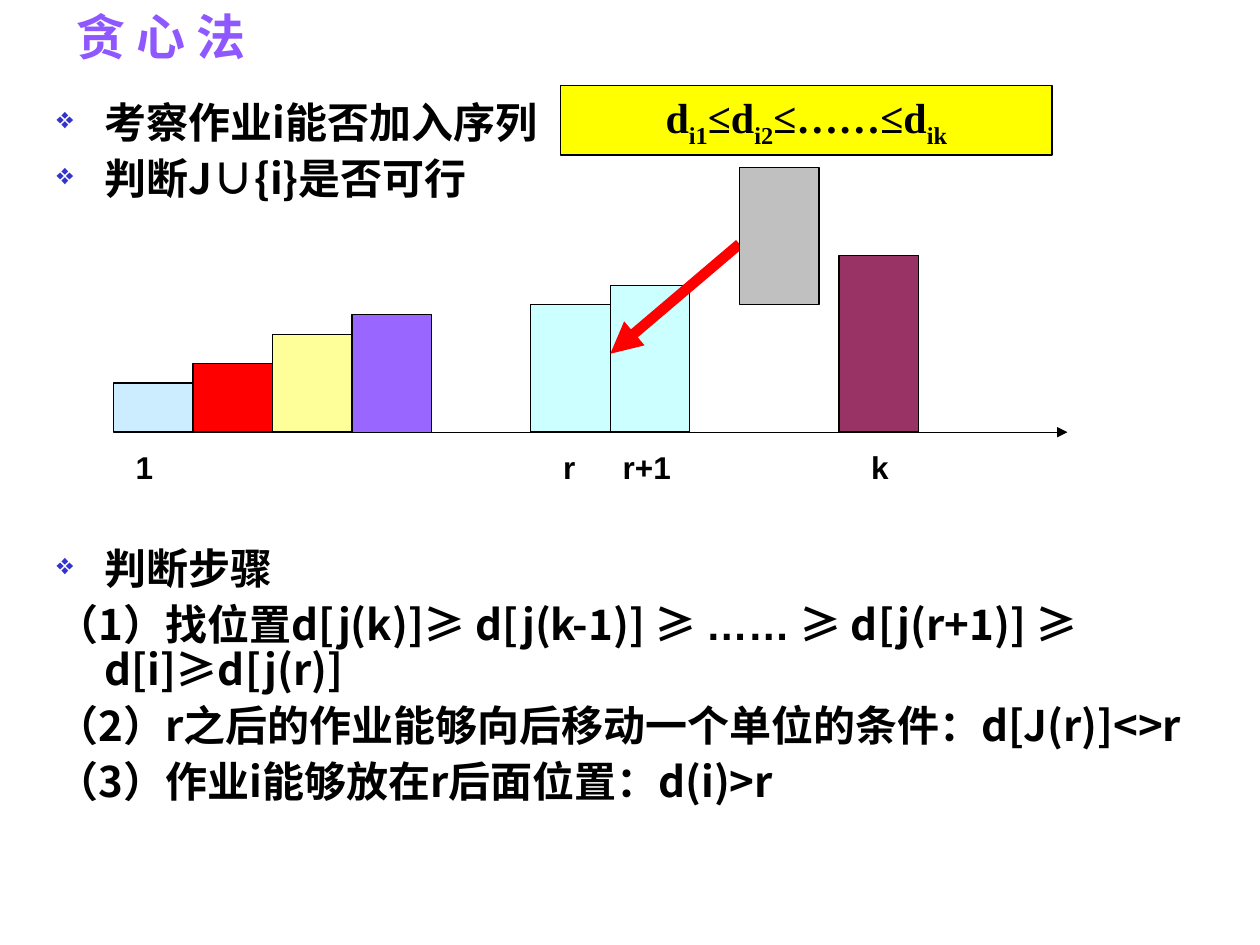
from dataclasses import dataclass

from lxml import etree
from pptx import Presentation
from pptx.dml.color import RGBColor
from pptx.enum.shapes import MSO_CONNECTOR, MSO_SHAPE
from pptx.enum.text import MSO_ANCHOR, PP_ALIGN
from pptx.oxml.ns import qn
from pptx.util import Inches, Pt

RECTANGLE = MSO_SHAPE.RECTANGLE
STRAIGHT = MSO_CONNECTOR.STRAIGHT
MIDDLE = MSO_ANCHOR.MIDDLE
CENTER = PP_ALIGN.CENTER

HAN_FONT = "Noto Sans CJK SC"
BLACK = "000000"

# Chart grid: columns run right from the first bar, rows run up from the axis.
COLUMN = 6.31 / 80
ROW = 1.4 / 18
CHART_LEFT = 0.9
AXIS_TOP = 3.43
BAR_COLUMNS = 8
INDENT = 0.38
DIAGRAM_GAP = 197


@dataclass
class Bar:
    column: float
    rows: float
    color: str
    base: float = 0


@dataclass
class Label:
    text: str
    column: float
    columns: float


@dataclass
class Line:
    start: tuple[float, float]
    end: tuple[float, float]
    color: str
    width: float


@dataclass
class Item:
    texts: list[str]
    bullet: bool = False
    space_before: float = 6


BARS = [
    Bar(0, 5, "CCECFF"),
    Bar(8, 7, "FF0000"),
    Bar(16, 10, "FFFF99"),
    Bar(24, 12, "9966FF"),
    Bar(42, 13, "CCFFFF"),
    Bar(73, 18, "993366"),
    Bar(50, 15, "CCFFFF"),
]
NEW_JOB = Bar(63, 14, "C0C0C0", base=13)
LABELS = [Label("1", 1, 4.3), Label("r", 44, 3.7), Label("r+1", 50, 7.4), Label("k", 75, 4.3)]
AXIS = Line((1, 0), (96, 0), BLACK, 0.75)
INSERT_ARROW = Line((63, 19.2), (50, 8), "FF0000", 6)
ITEMS = [
    Item(["考察作业i能否加入序列"], bullet=True),
    Item(["判断J∪{i}是否可行"], bullet=True),
    Item(["判断步骤"], bullet=True, space_before=DIAGRAM_GAP),
    Item(["（1）找位置d[j(k)]≥ d[j(k-1)] ≥ ", "……", " ≥ d[j(r+1)] ≥ d[i]≥d[j(r)]"]),
    Item(["（2）r之后的作业能够向后移动一个单位的条件：d[J(r)]<>r"]),
    Item(["（3）作业i能够放在r后面位置：d(i)>r"]),
]
DEADLINES = [("d", "i1"), ("≤d", "i2"), ("≤……≤d", "ik")]


def rgb(color: str) -> RGBColor:
    return RGBColor.from_string(color)


def grid_x(column: float) -> int:
    return Inches(CHART_LEFT + column * COLUMN)


def grid_y(row: float) -> int:
    return Inches(AXIS_TOP - row * ROW)


def style_font(font, size: float, name: str, color: str = BLACK, han: str = HAN_FONT) -> None:
    font.size, font.name, font.bold = Pt(size), name, True
    font.color.rgb = rgb(color)
    etree.SubElement(font._element, qn("a:ea"), typeface=han)


def add_text_box(slide, left, top, width, height, wrap: bool = True):
    frame = slide.shapes.add_textbox(left, top, width, height).text_frame
    frame.word_wrap = wrap
    return frame


def add_rectangle(slide, left, top, width, height, color: str):
    shape = slide.shapes.add_shape(RECTANGLE, left, top, width, height)
    shape.shadow.inherit = False
    shape.fill.solid()
    shape.fill.fore_color.rgb = rgb(color)
    shape.line.color.rgb = rgb(BLACK)
    shape.line.width = Pt(0.75)
    return shape


def add_bar(slide, bar: Bar) -> None:
    add_rectangle(slide, grid_x(bar.column), grid_y(bar.base + bar.rows),
                  Inches(BAR_COLUMNS * COLUMN), Inches(bar.rows * ROW), bar.color)


def add_arrow(slide, line: Line) -> None:
    (x1, y1), (x2, y2) = line.start, line.end
    connector = slide.shapes.add_connector(STRAIGHT, grid_x(x1), grid_y(y1), grid_x(x2), grid_y(y2))
    connector.line.color.rgb = rgb(line.color)
    connector.line.width = Pt(line.width)
    etree.SubElement(connector.line._get_or_add_ln(), qn("a:tailEnd"), type="triangle")
    etree.SubElement(connector._element.spPr, qn("a:effectLst"))


def add_label(slide, label: Label) -> None:
    frame = add_text_box(slide, grid_x(label.column), grid_y(-1),
                         Inches(label.columns * COLUMN), Inches(0.4), wrap=False)
    paragraph = frame.paragraphs[0]
    paragraph.text = label.text
    style_font(paragraph.font, 18, "Arial")


def set_indent(paragraph, bullet: bool) -> None:
    """Give the paragraph a hanging indent, with a blue diamond if it is bulleted."""
    properties = paragraph._p.get_or_add_pPr()
    properties.set("marL", str(Inches(INDENT)))
    properties.set("indent", str(-Inches(INDENT)))
    if bullet:
        color = etree.SubElement(properties, qn("a:buClr"))
        etree.SubElement(color, qn("a:srgbClr"), val="3333CC")
        etree.SubElement(properties, qn("a:buSzPct"), val="70000")
        etree.SubElement(properties, qn("a:buChar"), char="❖")
    else:
        etree.SubElement(properties, qn("a:buNone"))


def add_items(slide) -> None:
    frame = add_text_box(slide, Inches(0.35), Inches(0.76), Inches(9.29), Inches(6.14))
    for index, item in enumerate(ITEMS):
        paragraph = frame.add_paragraph() if index else frame.paragraphs[0]
        paragraph.line_spacing = 0.9
        paragraph.space_before = Pt(item.space_before)
        set_indent(paragraph, item.bullet)
        style_font(paragraph.font, 24, HAN_FONT)
        for text in item.texts:
            run = paragraph.add_run()
            run.text = text
            if text == "……":
                style_font(run.font, 24, "Arial", han="Arial")


def add_deadlines(slide) -> None:
    shape = add_rectangle(slide, Inches(4.45), Inches(0.68), Inches(3.9), Inches(0.55), "FFFF00")
    frame = shape.text_frame
    frame.word_wrap = False
    frame.vertical_anchor = MIDDLE
    paragraph = frame.paragraphs[0]
    paragraph.alignment = CENTER
    style_font(paragraph.font, 24, "Times New Roman", han="Times New Roman")
    for base, subscript in DEADLINES:
        paragraph.add_run().text = base
        run = paragraph.add_run()
        run.text = subscript
        run.font._element.set("baseline", "-25000")


def add_title(slide) -> None:
    frame = add_text_box(slide, Inches(0.51), 0, Inches(2.28), Inches(0.57))
    paragraph = frame.paragraphs[0]
    paragraph.text = "贪 心 法"
    style_font(paragraph.font, 28, "Arial", "8F57FF")


def main() -> None:
    presentation = Presentation()
    presentation.slide_width, presentation.slide_height = Inches(10), Inches(7.5)
    slide = presentation.slides.add_slide(presentation.slide_layouts[6])
    add_title(slide)
    add_items(slide)
    add_deadlines(slide)
    for bar in BARS:
        add_bar(slide, bar)
    add_arrow(slide, AXIS)
    for label in LABELS:
        add_label(slide, label)
    add_arrow(slide, INSERT_ARROW)
    add_bar(slide, NEW_JOB)
    presentation.save("out.pptx")


if __name__ == "__main__":
    main()
